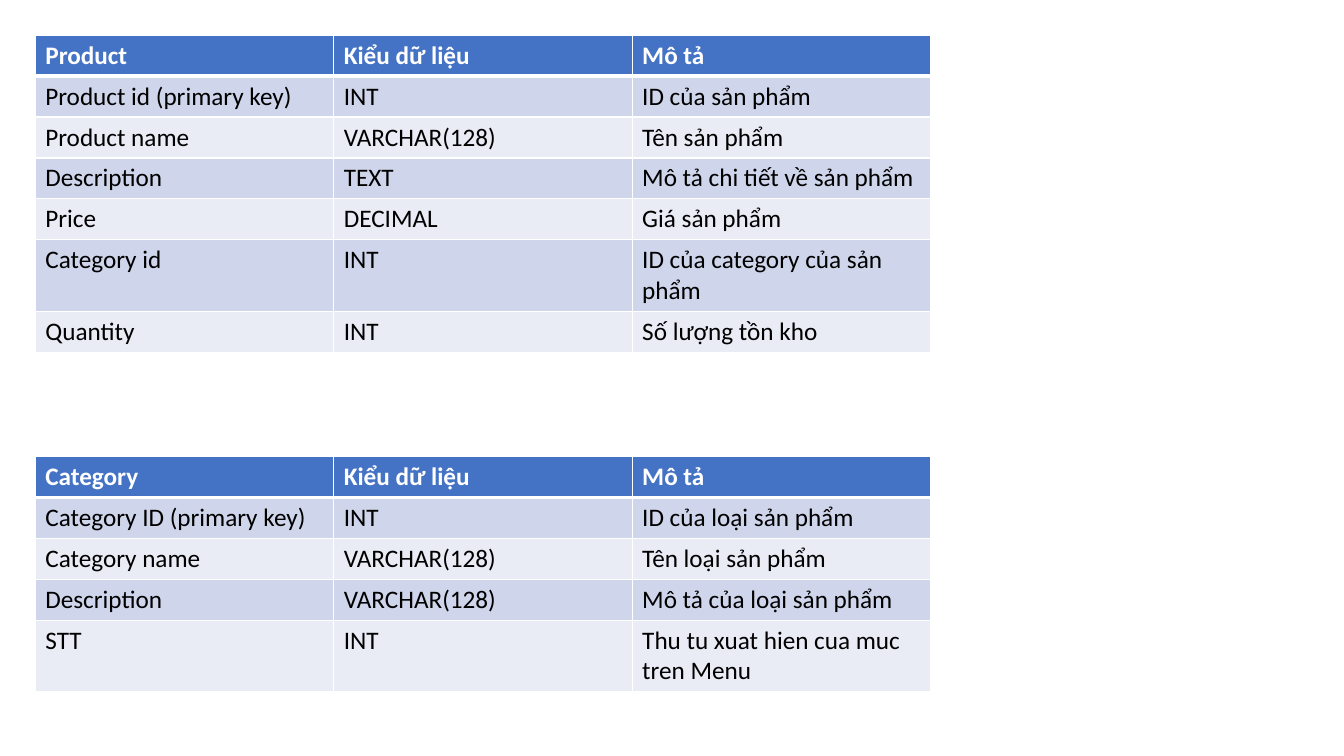
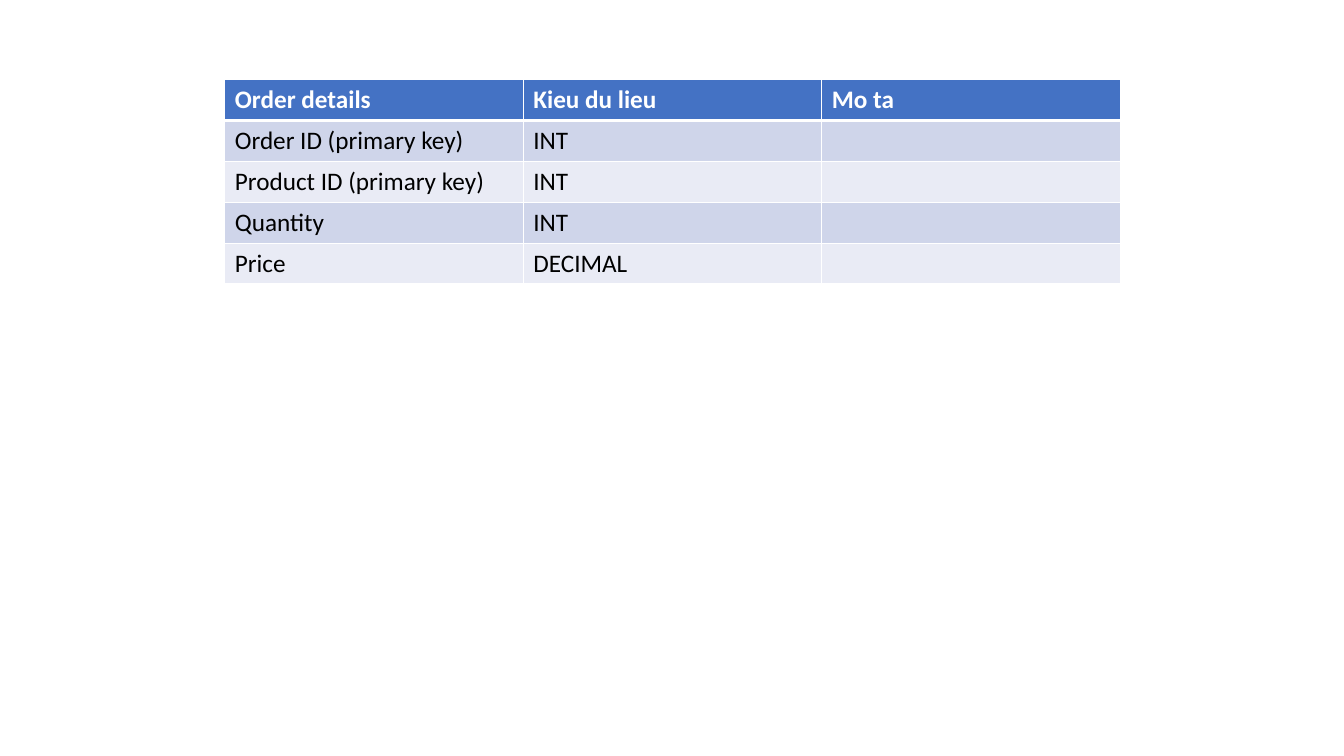
import pptx
import pptx.dml.color
import pptx.oxml
import pptx.oxml.ns
import pptx.util
from pptx.util import Inches

WHITE, BLACK = "FFFFFF", "000000"
HEADER_FILL = "4472C4"
BAND_FILLS = ["E9EBF5", "CFD5EA"]
COLUMN_WIDTH = Inches(2.96)
ROW_HEIGHT = Inches(0.4)  # rows grow to fit their text

SLIDES = [
    [
        (0.35, 0.35, [
            ("Product", "Kiểu dữ liệu", "Mô tả"),
            ("Product id (primary key)", "INT", "ID của sản phẩm"),
            ("Product name", "VARCHAR(128)", "Tên sản phẩm"),
            ("Description", "TEXT", "Mô tả chi tiết về sản phẩm"),
            ("Price", "DECIMAL", "Giá sản phẩm"),
            ("Category id", "INT", "ID của category của sản phẩm"),
            ("Quantity", "INT", "Số lượng tồn kho"),
        ]),
        (0.35, 4.53, [
            ("Category", "Kiểu dữ liệu", "Mô tả"),
            ("Category ID (primary key)", "INT", "ID của loại sản phẩm"),
            ("Category name", "VARCHAR(128)", "Tên loại sản phẩm"),
            ("Description", "VARCHAR(128)", "Mô tả của loại sản phẩm"),
            ("STT", "INT", "Thu tu xuat hien cua muc tren Menu"),
        ]),
    ],
    [
        (2.23, 0.79, [
            ("Order details", "Kieu du lieu", "Mo ta"),
            ("Order ID (primary key)", "INT", ""),
            ("Product ID (primary key)", "INT", ""),
            ("Quantity", "INT", ""),
            ("Price", "DECIMAL", ""),
        ]),
    ],
]


def color(value):
    return pptx.dml.color.RGBColor.from_string(value)


def format_cell(cell, text, row_index):
    """Write the text with the borders, fill and font of its row."""
    is_header = row_index == 0
    widths = {
        "lnL": 1,
        "lnR": 1,
        "lnT": 3 if row_index == 1 else 1,
        "lnB": 3 if is_header else 1,
    }
    properties = cell._tc.get_or_add_tcPr()
    for side, width in widths.items():
        properties.append(pptx.oxml.parse_xml(
            f'<a:{side} {pptx.oxml.ns.nsdecls("a")} w="{pptx.util.Pt(width)}">'
            f'<a:solidFill><a:srgbClr val="{WHITE}"/></a:solidFill></a:{side}>'
        ))
    cell.fill.solid()
    cell.fill.fore_color.rgb = color(HEADER_FILL if is_header else BAND_FILLS[row_index % 2])

    cell.text = text
    font = cell.text_frame.paragraphs[0].font
    font_format = {"name": "Calibri", "size": pptx.util.Pt(18), "bold": is_header}
    for attribute, value in font_format.items():
        setattr(font, attribute, value)
    font.color.rgb = color(WHITE if is_header else BLACK)


presentation = pptx.Presentation()
presentation.slide_width = Inches(13.33)
presentation.slide_height = Inches(7.5)
blank_layout = presentation.slide_layouts[6]

for tables in SLIDES:
    slide = presentation.slides.add_slide(blank_layout)
    for left, top, rows in tables:
        column_count = len(rows[0])
        table = slide.shapes.add_table(
            len(rows), column_count, Inches(left), Inches(top),
            COLUMN_WIDTH * column_count, ROW_HEIGHT * len(rows),
        ).table
        for row_index, row in enumerate(rows):
            for column_index, text in enumerate(row):
                format_cell(table.cell(row_index, column_index), text, row_index)

presentation.save("out.pptx")
